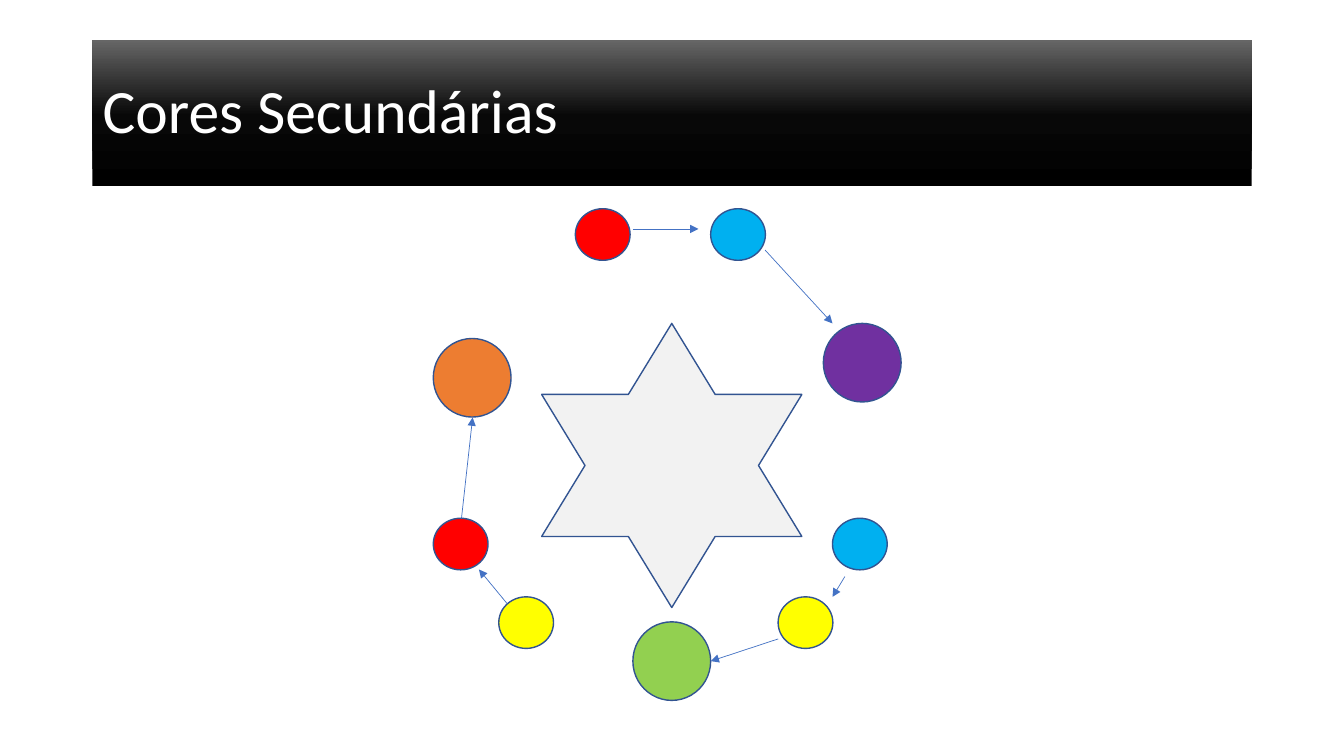
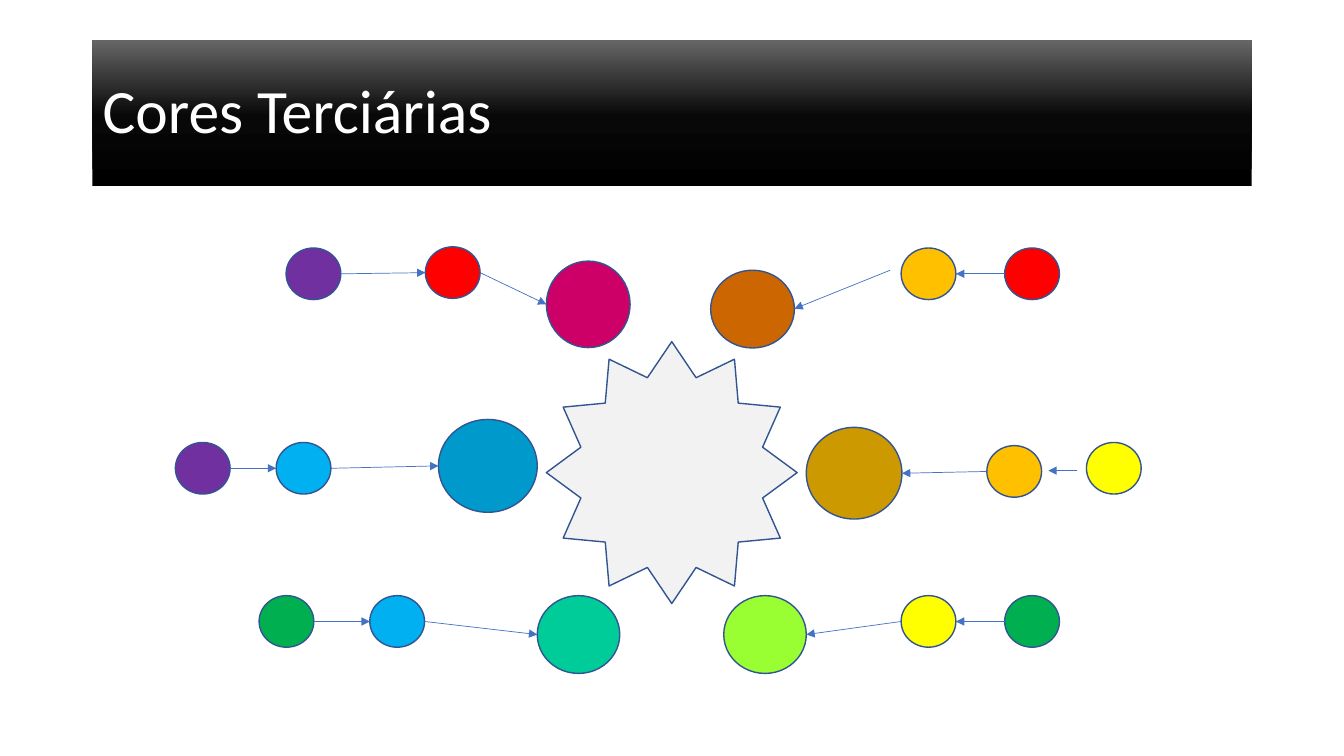
import copy

import lxml.etree
import pptx
import pptx.dml.color
import pptx.enum.shapes
import pptx.enum.text
import pptx.oxml.ns
import pptx.util

Cm = pptx.util.Cm
Pt = pptx.util.Pt
SHAPE = pptx.enum.shapes.MSO_SHAPE

# Paint colours
RED, YELLOW, BLUE = "FF0000", "FFFF00", "00B0F0"
PURPLE, ORANGE, AMBER = "7030A0", "ED7D31", "FFC000"
LIME, GREEN = "92D050", "00B050"

SMALL = (1.38, 1.3)
LARGE = (1.96, 1.98)


def rgb(colour):
    return pptx.dml.color.RGBColor.from_string(colour)


class Deck:
    """Holds the shared style and the current slide."""

    FONT = "Calibri"
    TITLE_BOX = (2.33, 1.01, 29.21, 3.68)
    BAND = ((0, "000000"), (0.48, "080808"), (1, "666666"))
    OUTLINE, ARROW, STAR = "325491", "4472C4", "F2F2F2"

    def __init__(self):
        self.prs = pptx.Presentation()
        self.prs.slide_width, self.prs.slide_height = Cm(33.87), Cm(19.05)
        self.s = None

    def slide(self, title):
        self.s = self.prs.slides.add_slide(self.prs.slide_layouts[5])
        sp = self.s.shapes.title
        sp.left, sp.top, sp.width, sp.height = map(Cm, self.TITLE_BOX)
        self.band(sp)
        tf = sp.text_frame
        tf.text = title
        tf.word_wrap = True
        tf.auto_size = pptx.enum.text.MSO_AUTO_SIZE.NONE
        tf.vertical_anchor = pptx.enum.text.MSO_ANCHOR.MIDDLE
        p = tf.paragraphs[0]
        p.alignment = pptx.enum.text.PP_ALIGN.LEFT
        p.line_spacing = 0.9
        font = p.runs[0].font
        font.name, font.size = self.FONT, Pt(44)
        font.color.rgb = rgb("FFFFFF")

    def band(self, sp):
        """Three-stop gradient, dark at the bottom."""
        sp.fill.gradient()
        sp.fill.gradient_angle = 90
        stops = sp.element.xpath(".//a:gsLst")[0]
        stops.append(copy.deepcopy(stops[0]))
        for stop, (position, colour) in zip(sp.fill.gradient_stops, self.BAND):
            stop.position = position
            stop.color.rgb = rgb(colour)

    def shape(self, kind, colour, x, y, w, h):
        sp = self.s.shapes.add_shape(kind, Cm(x), Cm(y), Cm(w), Cm(h))
        sp.shadow.inherit = False
        sp.fill.solid()
        sp.fill.fore_color.rgb = rgb(colour)
        sp.line.color.rgb = rgb(self.OUTLINE)
        sp.line.width = Pt(1)

    def star(self, kind, x, y, w, h):
        self.shape(kind, self.STAR, x, y, w, h)

    def circle(self, colour, x, y, size=SMALL):
        self.shape(SHAPE.OVAL, colour, x, y, *size)

    def arrow(self, start, end):
        line = self.s.shapes.add_connector(
            pptx.enum.shapes.MSO_CONNECTOR.STRAIGHT, *map(Cm, start + end))
        line.line.color.rgb = rgb(self.ARROW)
        line.line.width = Pt(0.5)
        qn = pptx.oxml.ns.qn
        ln = line.line._get_or_add_ln()
        lxml.etree.SubElement(ln, qn("a:tailEnd"), type="triangle")
        lxml.etree.SubElement(line.element.spPr, qn("a:effectLst"))

    def chain(self, circles, arrows):
        """Circles joined side to side; arrows gives own ends by position."""
        for circle in circles:
            self.circle(*circle)
        for i, (a, b) in enumerate(zip(circles, circles[1:])):
            rightward = a[1] < b[1]
            ends = self.side(a, rightward), self.side(b, not rightward)
            self.arrow(*arrows.get(i, ends))

    @staticmethod
    def side(circle, right):
        _, x, y, (w, h) = (*circle, SMALL)[:4]
        return x + w * right, y + h / 2


def secondary(deck):
    deck.slide("Cores Secundárias")
    deck.star(SHAPE.STAR_6_POINT, 13.65, 8.15, 6.56, 7.16)

    # Mixed colours
    for colour, x, y in ((PURPLE, 20.75, 8.15), (ORANGE, 10.92, 8.53),
                         (LIME, 15.95, 15.67)):
        deck.circle(colour, x, y, LARGE)

    # Primary colours
    for colour, x, y in ((RED, 14.5, 5.26), (BLUE, 17.91, 5.26),
                         (YELLOW, 12.57, 15.04), (RED, 10.92, 13.06),
                         (BLUE, 20.98, 13.06), (YELLOW, 19.61, 15.04)):
        deck.circle(colour, x, y)

    # Mixing order
    for start, end in (((15.95, 5.77), (17.6, 5.77)),
                       ((19.28, 6.3), (20.98, 8.15)),
                       ((21.29, 14.53), (20.98, 15.04)),
                       ((19.61, 16.1), (17.91, 16.66)),
                       ((12.78, 15.21), (12.07, 14.35)),
                       ((11.63, 13.06), (11.91, 10.52))):
        deck.arrow(start, end)


def tertiary(deck):
    deck.slide("Cores Terciárias")
    deck.star(SHAPE.STAR_12_POINT, 13.77, 8.61, 6.32, 6.6)

    # Each chain: two colours, their mixture, and any arrow set by hand
    chains = (
        # Left side
        (((PURPLE, 7.21, 6.25), (RED, 10.72, 6.22),
          ("CC0066", 13.77, 6.58, (2.11, 2.18))), {}),
        (((PURPLE, 4.42, 11.15), (BLUE, 6.96, 11.15),
          ("0099CC", 11.05, 10.57, (2.49, 2.34))), {}),
        (((GREEN, 6.53, 15.01), (BLUE, 9.32, 15.01),
          ("00CC99", 13.54, 15.01, (2.08, 1.96))), {}),
        # Right side
        (((RED, 25.32, 6.25), (AMBER, 22.71, 6.25),
          ("CC6600", 17.91, 6.81, (2.11, 1.96))),
         {1: ((22.43, 6.81), (20.02, 7.78))}),
        (((YELLOW, 27.38, 11.15), (AMBER, 24.87, 11.23),
          ("CC9900", 20.32, 10.77, (2.41, 2.31))),
         {0: ((27.15, 11.86), (26.42, 11.86))}),
        (((GREEN, 25.32, 15.01), (YELLOW, 22.71, 15.01),
          ("99FF33", 18.24, 15.01, (2.08, 1.96))), {}),
    )
    for circles, arrows in chains:
        deck.chain(circles, arrows)


def main():
    deck = Deck()
    secondary(deck)
    tertiary(deck)
    deck.prs.save("out.pptx")


if __name__ == "__main__":
    main()
